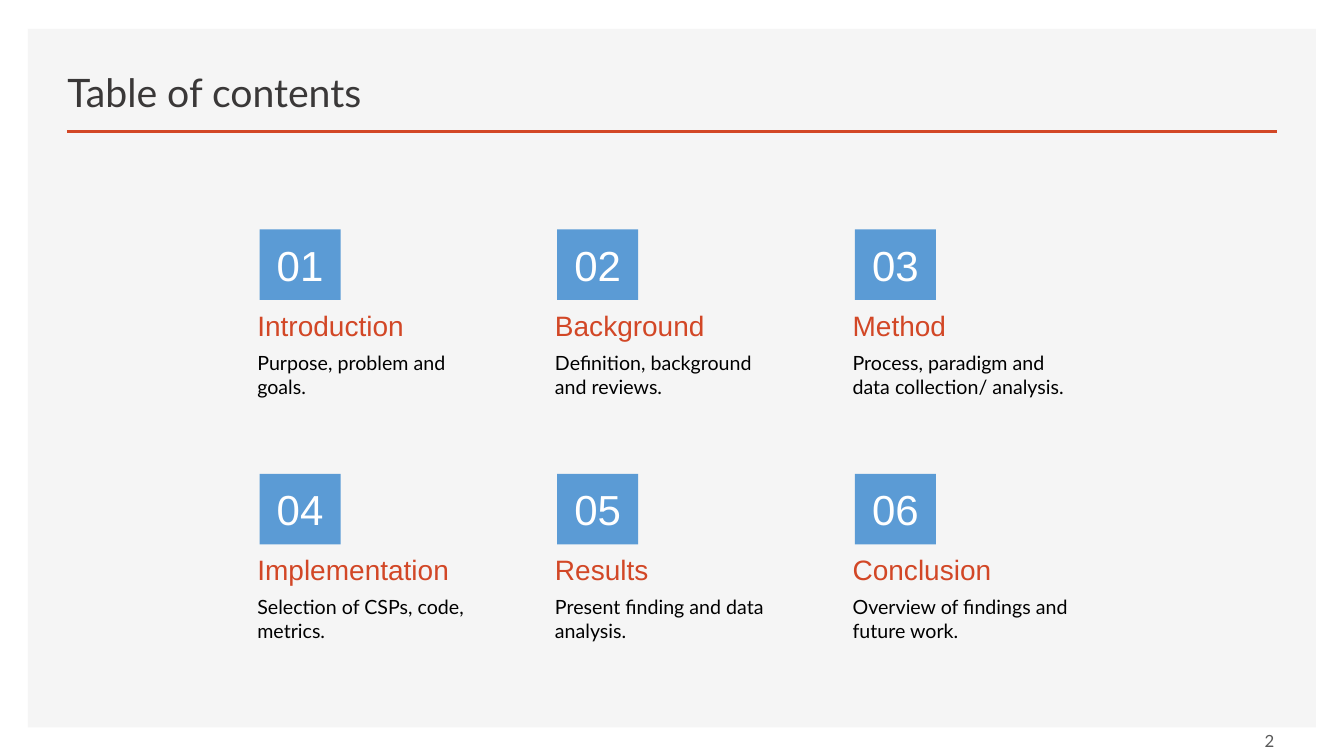
from dataclasses import dataclass

from lxml import etree
from pptx import Presentation
from pptx.dml.color import RGBColor
from pptx.enum import shapes, text
from pptx.oxml import ns
from pptx.util import Pt

COLORS = {
    "panel": "F5F5F5",
    "accent": "D24726",
    "badge": "5B9BD5",
    "title": "3A3838",
    "body": "000000",
    "number": "FFFFFF",
    "page": "595959",
}
COLUMNS = 3
GRID_LEFT, GRID_TOP = 176.7, 163.9
COLUMN_PITCH, ROW_PITCH = 212.6, 174.6


@dataclass(frozen=True)
class Box:
    left: float
    top: float
    width: float
    height: float

    def shifted(self, dx: float, dy: float) -> "Box":
        return Box(self.left + dx, self.top + dy, self.width, self.height)

    def lengths(self) -> tuple:
        return Pt(self.left), Pt(self.top), Pt(self.width), Pt(self.height)


@dataclass(frozen=True)
class Style:
    font: str
    size: float
    color: str
    anchor: text.MSO_ANCHOR = text.MSO_ANCHOR.BOTTOM
    align: text.PP_ALIGN = text.PP_ALIGN.LEFT
    inset: float = 7.2  # top and bottom


@dataclass(frozen=True)
class Section:
    heading: str
    summary: str


TITLE = Style("Lato", 28, "title", inset=3.6)
NUMBER = Style("Arial", 30, "number", align=text.PP_ALIGN.CENTER)
HEADING = Style("Arial", 20, "accent")
SUMMARY = Style("Lato", 14, "body", text.MSO_ANCHOR.TOP)
PAGE = Style("Lato", 12, "page", text.MSO_ANCHOR.MIDDLE, text.PP_ALIGN.RIGHT, 3.6)

# Positions within one section, measured from its top left corner
BADGE_BOX = Box(8.7, 0, 57.9, 50.4)
HEADING_BOX = Box(0, 49.4, 171.4, 38.2)
SUMMARY_BOX = Box(0, 79.6, 171.4, 38.2)

SECTIONS = [
    Section("Introduction", "Purpose, problem and goals."),
    Section("Background", "Definition, background and reviews."),
    Section("Method", "Process, paradigm and data collection/ analysis."),
    Section("Implementation", "Selection of CSPs, code, metrics."),
    Section("Results", "Present finding and data analysis."),
    Section("Conclusion", "Overview of findings and future work."),
]


def rgb(name: str) -> RGBColor:
    return RGBColor.from_string(COLORS[name])


def write(sp, words: str, style: Style) -> None:
    tf = sp.text_frame
    tf.word_wrap = True
    tf.vertical_anchor = style.anchor
    tf.margin_left = tf.margin_right = Pt(7.2)
    tf.margin_top = tf.margin_bottom = Pt(style.inset)
    p = tf.paragraphs[0]
    p.text = words
    p.alignment = style.align
    p.font.name = style.font
    p.font.size = Pt(style.size)
    p.font.color.rgb = rgb(style.color)


def add_text(s, box: Box, words: str, style: Style) -> None:
    write(s.shapes.add_textbox(*box.lengths()), words, style)


def add_block(s, box: Box, color: str):
    """Add a plain filled rectangle and return it."""
    sp = s.shapes.add_shape(shapes.MSO_SHAPE.RECTANGLE, *box.lengths())
    sp.shadow.inherit = False
    sp.fill.solid()
    sp.fill.fore_color.rgb = rgb(color)
    sp.line.fill.background()
    return sp


def add_rule(s, left: float, right: float, y: float) -> None:
    line = s.shapes.add_connector(
        shapes.MSO_CONNECTOR.STRAIGHT, Pt(left), Pt(y), Pt(right), Pt(y)
    )
    line.line.color.rgb = rgb("accent")
    line.line.width = Pt(2)
    etree.SubElement(line._element.spPr, ns.qn("a:effectLst"))


def add_section(s, index: int, section: Section) -> None:
    row, column = divmod(index, COLUMNS)
    dx = GRID_LEFT + column * COLUMN_PITCH
    dy = GRID_TOP + row * ROW_PITCH
    badge = add_block(s, BADGE_BOX.shifted(dx, dy), "badge")
    write(badge, f"{index + 1:02d}", NUMBER)
    add_text(s, HEADING_BOX.shifted(dx, dy), section.heading, HEADING)
    add_text(s, SUMMARY_BOX.shifted(dx, dy), section.summary, SUMMARY)


def main() -> None:
    prs = Presentation()
    prs.slide_width, prs.slide_height = Pt(960), Pt(540)
    s = prs.slides.add_slide(prs.slide_layouts[6])
    add_block(s, Box(20, 20.7, 920, 498.8), "panel")
    add_rule(s, 47.8, 912.2, 94)
    add_text(s, Box(41, 35.3, 728, 50.4), "Table of contents", TITLE)
    for index, section in enumerate(SECTIONS):
        add_section(s, index, section)
    add_text(s, Box(659.5, 518, 257.8, 22), "2", PAGE)
    prs.save("out.pptx")


if __name__ == "__main__":
    main()
